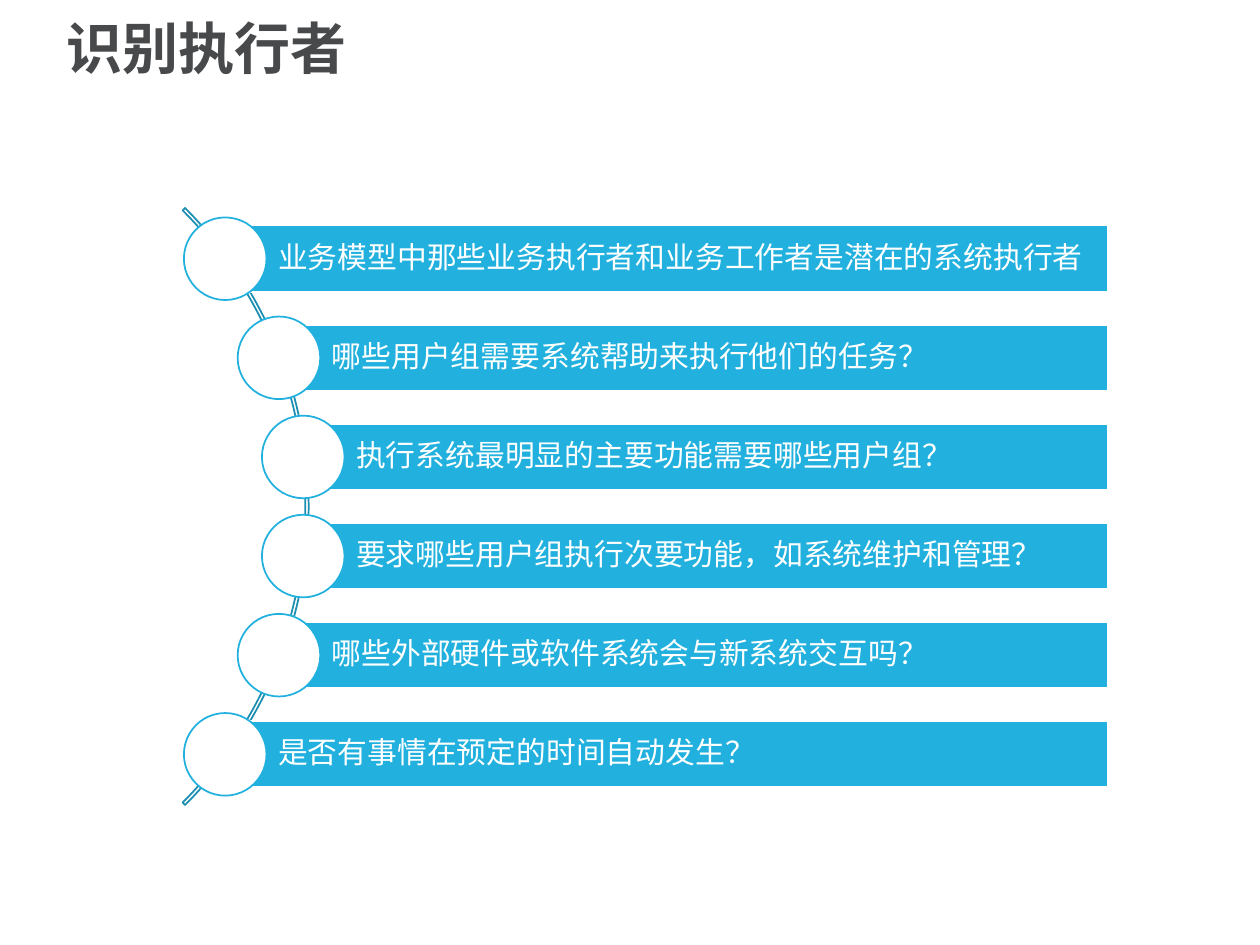
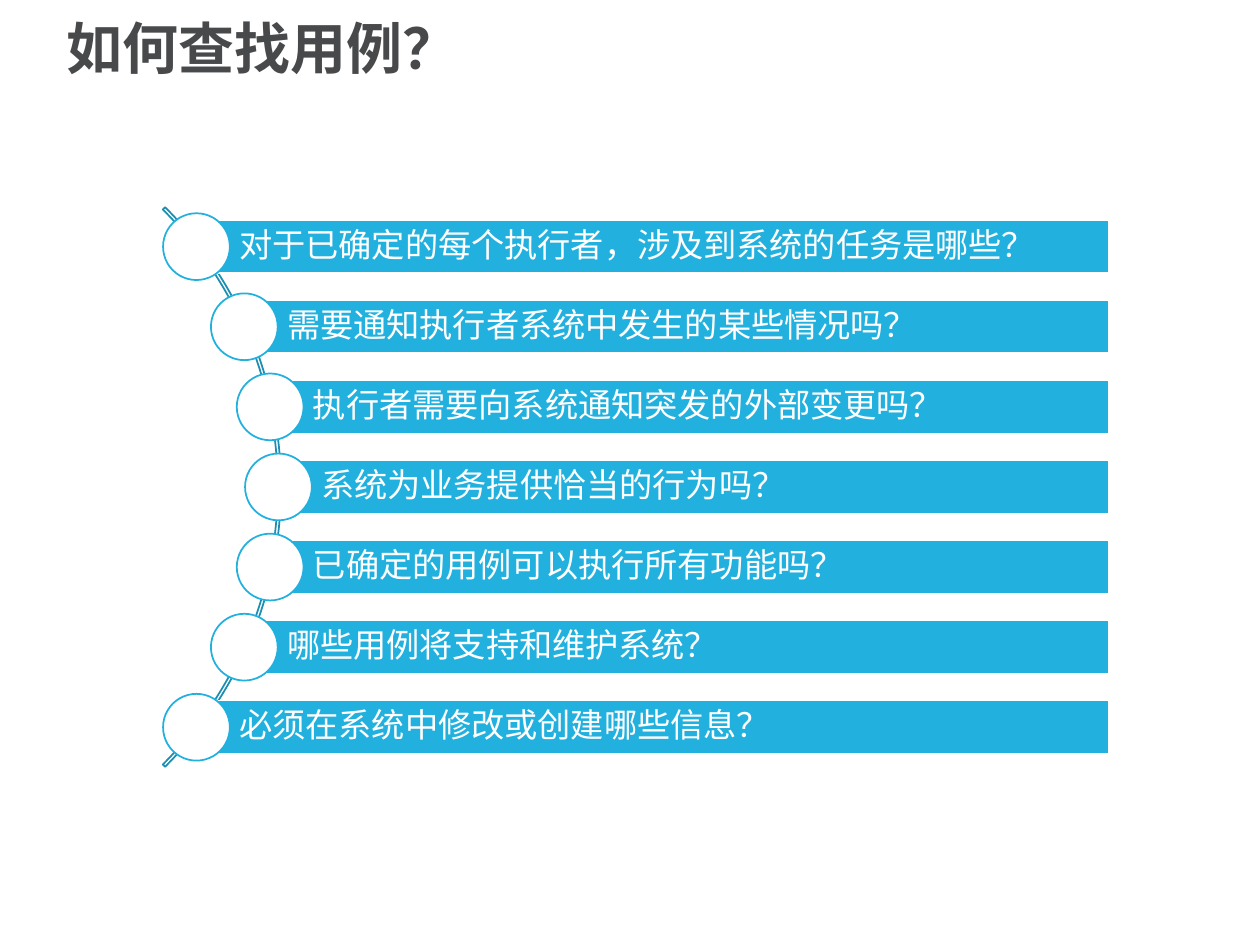
from math import sqrt
from lxml.etree import SubElement
from pptx import Presentation
from pptx.dml.color import RGBColor
from pptx.enum.lang import MSO_LANGUAGE_ID
from pptx.enum.shapes import MSO_SHAPE
from pptx.enum.text import MSO_ANCHOR, MSO_AUTO_SIZE, PP_ALIGN
from pptx.oxml.ns import qn
from pptx.util import Inches, Pt

WHITE, BLUE, DEEP_BLUE, GREY = "FFFFFF", "22B1DE", "1B8EB2", "47494B"
CHINESE_FONT = "Noto Sans CJK SC"
ARC_INSET = 0.02

TOPICS = [
    {
        "title": "识别执行者",
        "questions": [
            "业务模型中那些业务执行者和业务工作者是潜在的系统执行者",
            "哪些用户组需要系统帮助来执行他们的任务？",
            "执行系统最明显的主要功能需要哪些用户组？",
            "要求哪些用户组执行次要功能，如系统维护和管理？",
            "哪些外部硬件或软件系统会与新系统交互吗？",
            "是否有事情在预定的时间自动发生？",
        ],
        "arc_center": -0.9, "radius": 3.35,
        "top": 1.66, "right": 8.79, "height": 4.72, "size": 17,
    },
    {
        "title": "如何查找用例？",
        "questions": [
            "对于已确定的每个执行者，涉及到系统的任务是哪些？",
            "需要通知执行者系统中发生的某些情况吗？",
            "执行者需要向系统通知突发的外部变更吗？",
            "系统为业务提供恰当的行为吗？",
            "已确定的用例可以执行所有功能吗？",
            "哪些用例将支持和维护系统？",
            "必须在系统中修改或创建哪些信息？",
        ],
        "arc_center": -0.91, "radius": 3.14,
        "top": 1.64, "right": 8.8, "height": 4.45, "size": 19,
    },
]


def color(hex_string):
    return RGBColor.from_string(hex_string)


def write(frame, text, size, latin_font, text_color, bold=False):
    frame.text = text
    frame.word_wrap = True
    frame.auto_size = MSO_AUTO_SIZE.NONE
    frame.vertical_anchor = MSO_ANCHOR.MIDDLE
    paragraph = frame.paragraphs[0]
    paragraph.alignment = PP_ALIGN.LEFT
    paragraph.line_spacing = 0.9
    run = paragraph.runs[0]
    run.font.size = Pt(size)
    run.font.bold = bold
    run.font.name = latin_font
    run.font.color.rgb = color(text_color)
    run.font.language_id = MSO_LANGUAGE_ID.SIMPLIFIED_CHINESE
    properties = run._r.get_or_add_rPr()
    SubElement(properties, qn("a:ea")).set("typeface", CHINESE_FONT)


def add_outlined(slide, kind, left, top, width, height, line, fill=None):
    shape = slide.shapes.add_shape(
        kind, Inches(left), Inches(top), Inches(width), Inches(height))
    shape.shadow.inherit = False
    if fill:
        shape.fill.solid()
        shape.fill.fore_color.rgb = color(fill)
    else:
        shape.fill.background()
    shape.line.color.rgb = color(line)
    shape.line.width = Pt(1)
    return shape


def format_title(slide, text):
    title = slide.shapes.title
    title.left, title.top = Inches(0.43), Inches(0.06)
    title.width, title.height = Inches(9.05), Inches(0.7)
    write(title.text_frame, text, 32, CHINESE_FONT, GREY, bold=True)


def add_question(slide, left, middle, right, bar_height, text, size):
    bar = add_outlined(slide, MSO_SHAPE.RECTANGLE, left, middle - bar_height / 2,
                       right - left, bar_height, WHITE, BLUE)
    frame = bar.text_frame
    write(frame, text, size, "Calibri", WHITE)
    frame.margin_left = Inches(bar_height * 0.8)
    frame.margin_top = frame.margin_right = frame.margin_bottom = Inches(0.05)
    dot = bar_height * 1.25
    add_outlined(slide, MSO_SHAPE.OVAL, left - dot / 2, middle - dot / 2,
                 dot, dot, BLUE, WHITE)


def add_curved_list(slide, questions, arc_center, radius, top, right, height, size):
    center_y = top + height / 2
    arc = add_outlined(slide, MSO_SHAPE.BLOCK_ARC, arc_center - radius,
                       center_y - radius, 2 * radius, 2 * radius, DEEP_BLUE)
    for index, value in enumerate((189, 27, 0.004)):
        arc.adjustments[index] = value
    pitch = height / len(questions)
    for index, question in enumerate(questions):
        middle = top + (index + 0.5) * pitch
        left = arc_center + sqrt((radius - ARC_INSET) ** 2 - (middle - center_y) ** 2)
        add_question(slide, left, middle, right, pitch / 1.5, question, size)


def add_topic_slide(presentation, title, **curved_list):
    slide = presentation.slides.add_slide(presentation.slide_layouts[5])
    format_title(slide, title)
    add_curved_list(slide, **curved_list)


def main():
    presentation = Presentation()
    presentation.slide_width, presentation.slide_height = Inches(10), Inches(7.5)
    for topic in TOPICS:
        add_topic_slide(presentation, **topic)
    presentation.save("out.pptx")


if __name__ == "__main__":
    main()
